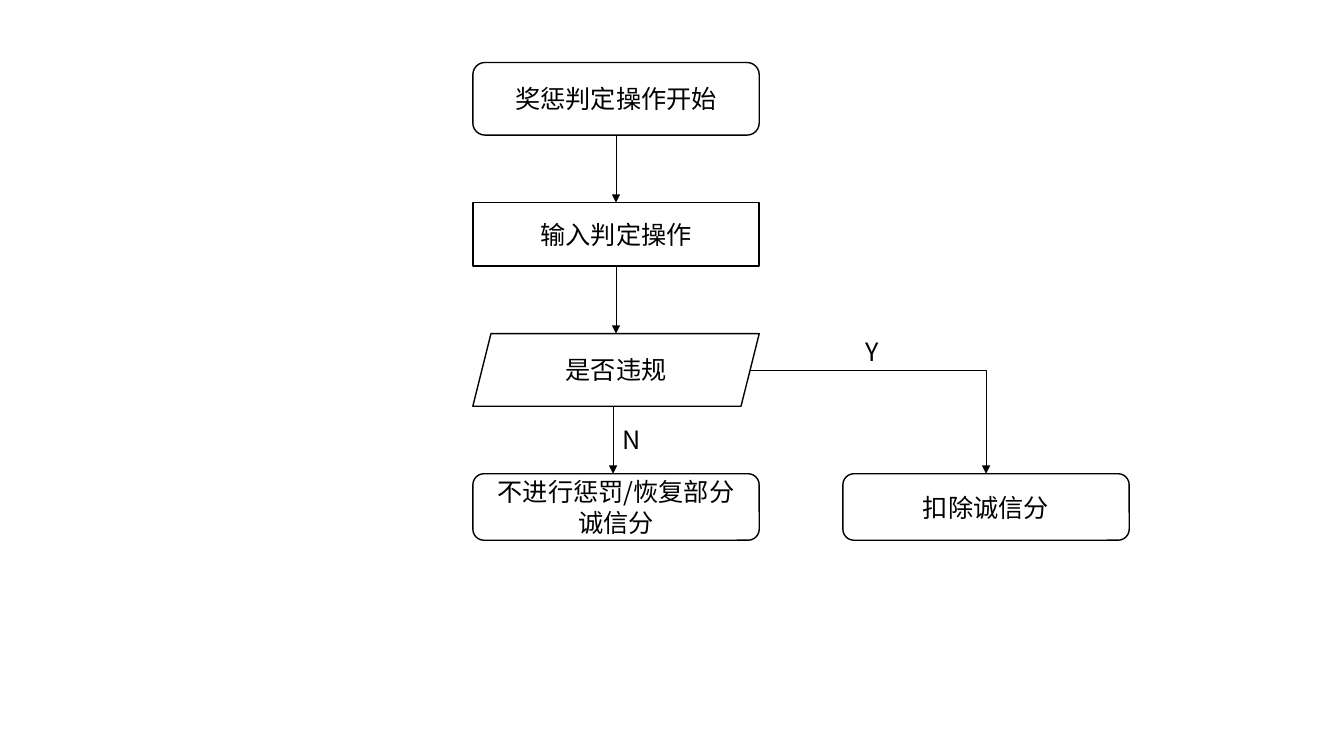
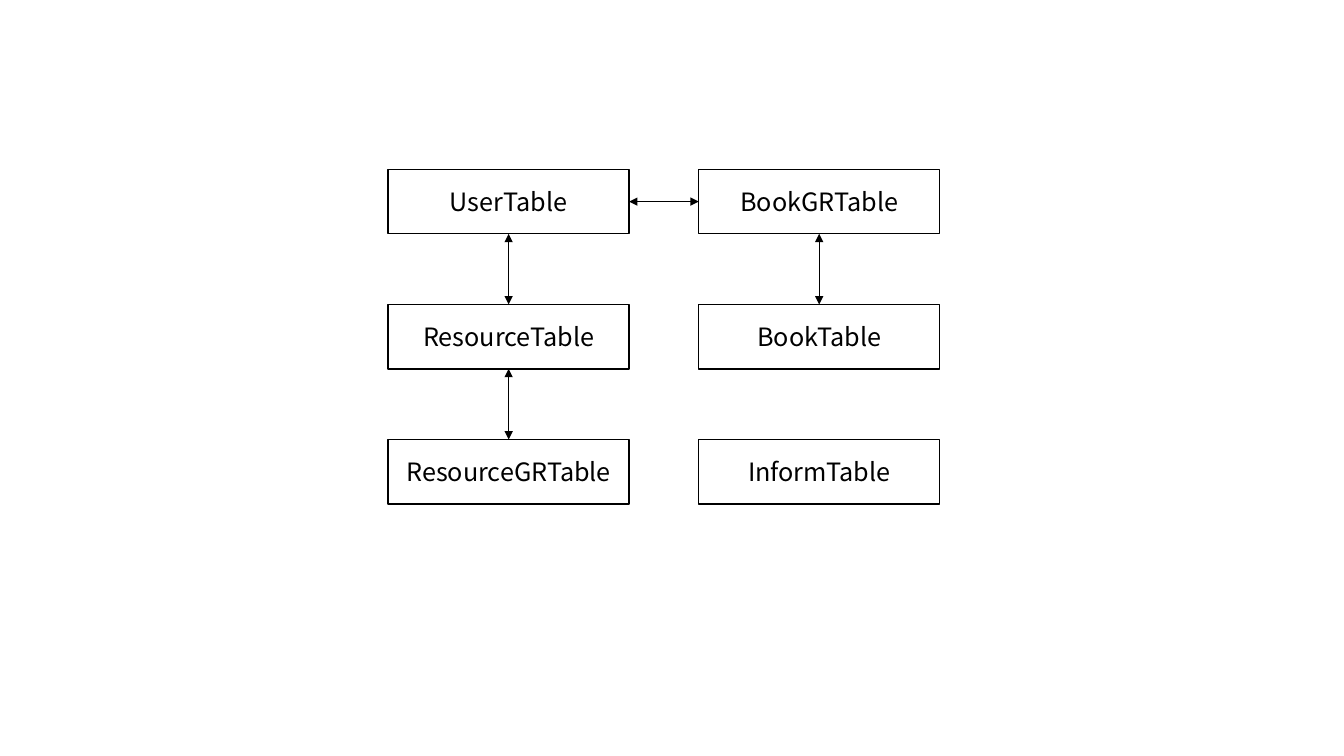
import dataclasses
import enum
import typing

import pptx
import pptx.dml.color
import pptx.enum.shapes
import pptx.enum.text
import pptx.oxml.ns
import pptx.shapes.autoshape
import pptx.shapes.connector
import pptx.slide
import pptx.text.text
import pptx.util
from lxml import etree

BLACK = pptx.dml.color.RGBColor(0x00, 0x00, 0x00)
WHITE = pptx.dml.color.RGBColor(0xFF, 0xFF, 0xFF)
FONT = "Noto Sans CJK SC"
SIZE = pptx.util.Pt(18)
EDGE = pptx.util.Pt(1)
THIN = pptx.util.Pt(0.5)
WIDE, HIGH = 13.33, 7.5
TAG_W, TAG_H = 0.34, 0.4

Kind = pptx.enum.shapes.MSO_SHAPE
Wire = pptx.enum.shapes.MSO_CONNECTOR
Slide = pptx.slide.Slide
Shape = pptx.shapes.autoshape.Shape
Line = pptx.shapes.connector.Connector
Point = tuple[float, float]


class Side(enum.IntEnum):
    """Joining sites of a box, counted from the top and leftward."""
    TOP = 0
    LEFT = 1
    BASE = 2
    RIGHT = 3


@dataclasses.dataclass(frozen=True)
class Grid:
    """Equal columns and stacked rows, with even gaps, in inches."""
    left: float
    top: float
    width: float
    rows: tuple[float, ...]
    col_gap: float
    row_gap: float

    def cell(self, col: int, row: int) -> tuple[float, float, float, float]:
        """Return left, top, width and height of one cell."""
        x = self.left + col * (self.width + self.col_gap)
        y = self.top + sum(self.rows[:row]) + row * self.row_gap
        return x, y, self.width, self.rows[row]

    def spot(self, col: int, row: int, side: Side) -> Point:
        """Return the middle of one side of a cell."""
        x, y, w, h = self.cell(col, row)
        return {
            Side.TOP: (x + w / 2, y),
            Side.LEFT: (x, y + h / 2),
            Side.BASE: (x + w / 2, y + h),
            Side.RIGHT: (x + w, y + h / 2),
        }[side]


@dataclasses.dataclass(frozen=True)
class Box:
    """A labelled box in one cell of a grid."""
    text: str
    col: int
    row: int
    kind: Kind = Kind.RECTANGLE


@dataclasses.dataclass(frozen=True)
class Link:
    """An arrow from a side of one box to a side of another."""
    start: str
    end: str
    leave: Side = Side.BASE
    reach: Side = Side.TOP


FLOW = Grid(4.69, 0.62, 2.84, (0.72, 0.63, 0.72, 0.66), 0.83, 0.67)
BEGIN, INPUT, CHECK = "奖惩判定操作开始", "输入判定操作", "是否违规"
SPARE, FINE = "不进行惩罚/恢复部分诚信分", "扣除诚信分"
STEPS = (
    Box(BEGIN, 0, 0, Kind.ROUNDED_RECTANGLE),
    Box(INPUT, 0, 1),
    Box(CHECK, 0, 2, Kind.PARALLELOGRAM),
    Box(SPARE, 0, 3, Kind.ROUNDED_RECTANGLE),
    Box(FINE, 1, 3, Kind.ROUNDED_RECTANGLE),
)
SLANT = 0.09   # from the frame of the slanted box to its middle right
SHIFT = 0.03   # the "N" arrow stands this far left of the centre

TABLES = Grid(3.85, 1.68, 2.39, (0.64,) * 3, 0.69, 0.7)
NAMES = (
    ("UserTable", "BookGRTable"),
    ("ResourceTable", "BookTable"),
    ("ResourceGRTable", "InformTable"),
)
TIES = (
    Link("UserTable", "BookGRTable", Side.RIGHT, Side.LEFT),
    Link("BookGRTable", "BookTable"),
    Link("UserTable", "ResourceTable"),
    Link("ResourceTable", "ResourceGRTable"),
)


def inch(*vals: float) -> list[pptx.util.Length]:
    """Turn numbers into lengths."""
    return [pptx.util.Inches(val) for val in vals]


def write(frame: pptx.text.text.TextFrame, text: str) -> None:
    """Put centred black text into a frame."""
    frame.text = text
    for para in frame.paragraphs:
        para.alignment = pptx.enum.text.PP_ALIGN.CENTER
        for run in para.runs:
            run.font.size = SIZE
            run.font.name = FONT
            run.font.color.rgb = BLACK
            east = etree.SubElement(run.font._element, pptx.oxml.ns.qn("a:ea"))
            east.set("typeface", FONT)


def draw_box(slide: Slide, grid: Grid, box: Box) -> Shape:
    """Draw one white box with a black edge."""
    shape = slide.shapes.add_shape(box.kind, *inch(*grid.cell(box.col, box.row)))
    shape.shadow.inherit = False
    shape.fill.solid()
    shape.fill.fore_color.rgb = WHITE
    shape.line.color.rgb = BLACK
    shape.line.width = EDGE
    shape.text_frame.word_wrap = True
    shape.text_frame.vertical_anchor = pptx.enum.text.MSO_ANCHOR.MIDDLE
    write(shape.text_frame, box.text)
    return shape


def draw_all(slide: Slide, grid: Grid,
             boxes: typing.Iterable[Box]) -> dict[str, Shape]:
    """Draw the boxes and return them by their text."""
    return {box.text: draw_box(slide, grid, box) for box in boxes}


def draw_line(slide: Slide, start: Point, end: Point,
              wire: Wire = Wire.STRAIGHT, both: bool = False) -> Line:
    """Draw a thin arrow, with heads at one end or both."""
    line = slide.shapes.add_connector(wire, *inch(*start, *end))
    line.line.color.rgb = BLACK
    line.line.width = THIN
    props = line._element.spPr
    for name in ("a:headEnd", "a:tailEnd") if both else ("a:tailEnd",):
        head = etree.SubElement(line.line._get_or_add_ln(), pptx.oxml.ns.qn(name))
        head.set("type", "triangle")
    etree.SubElement(props, pptx.oxml.ns.qn("a:effectLst"))
    return line


def join(slide: Slide, boxes: dict[str, Shape], link: Link,
         both: bool = False) -> None:
    """Draw an arrow that is fixed to two boxes."""
    line = draw_line(slide, (0, 0), (0, 0), both=both)
    line.begin_connect(boxes[link.start], link.leave)
    line.end_connect(boxes[link.end], link.reach)


def draw_tag(slide: Slide, text: str, x: float, y: float) -> None:
    """Write a short tag centred on a point."""
    spot = inch(x - TAG_W / 2, y - TAG_H / 2, TAG_W, TAG_H)
    write(slide.shapes.add_textbox(*spot).text_frame, text)


def draw_flow(slide: Slide) -> None:
    """Draw the flow chart of rewards and fines."""
    boxes = draw_all(slide, FLOW, STEPS)
    join(slide, boxes, Link(BEGIN, INPUT))
    join(slide, boxes, Link(INPUT, CHECK))

    mid, base = FLOW.spot(0, 2, Side.BASE)
    goal = FLOW.spot(0, 3, Side.TOP)[1]
    draw_line(slide, (mid - SHIFT, base), (mid - SHIFT, goal))
    draw_tag(slide, "N", mid + 0.14, (base + goal) / 2)

    edge, y = FLOW.spot(0, 2, Side.RIGHT)
    start, end = (edge - SLANT, y), FLOW.spot(1, 3, Side.TOP)
    bend = draw_line(slide, start, end, Wire.ELBOW)
    bend._element.spPr.prstGeom.set("prst", "bentConnector2")
    bend.end_connect(boxes[FINE], Side.TOP)
    draw_tag(slide, "Y", (start[0] + end[0]) / 2 + 0.04, y - 0.18)


def draw_tables(slide: Slide) -> None:
    """Draw the data tables and the ties between them."""
    boxes = draw_all(slide, TABLES, (
        Box(name, col, row)
        for row, names in enumerate(NAMES)
        for col, name in enumerate(names)
    ))
    for tie in TIES:
        join(slide, boxes, tie, both=True)


def main() -> None:
    """Build and save the slides."""
    deck = pptx.Presentation()
    deck.slide_width, deck.slide_height = inch(WIDE, HIGH)
    blank = deck.slide_layouts[6]
    for draw in (draw_flow, draw_tables):
        draw(deck.slides.add_slide(blank))
    deck.save("out.pptx")


main()
